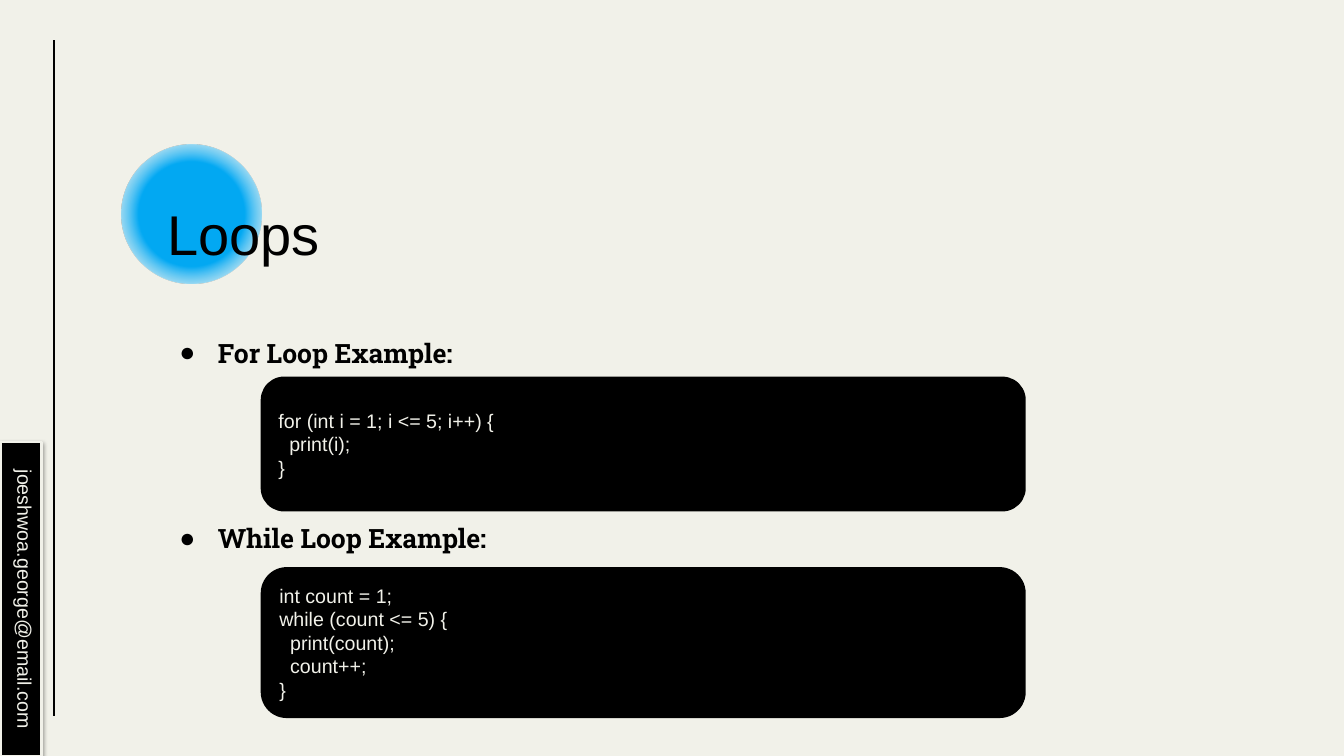
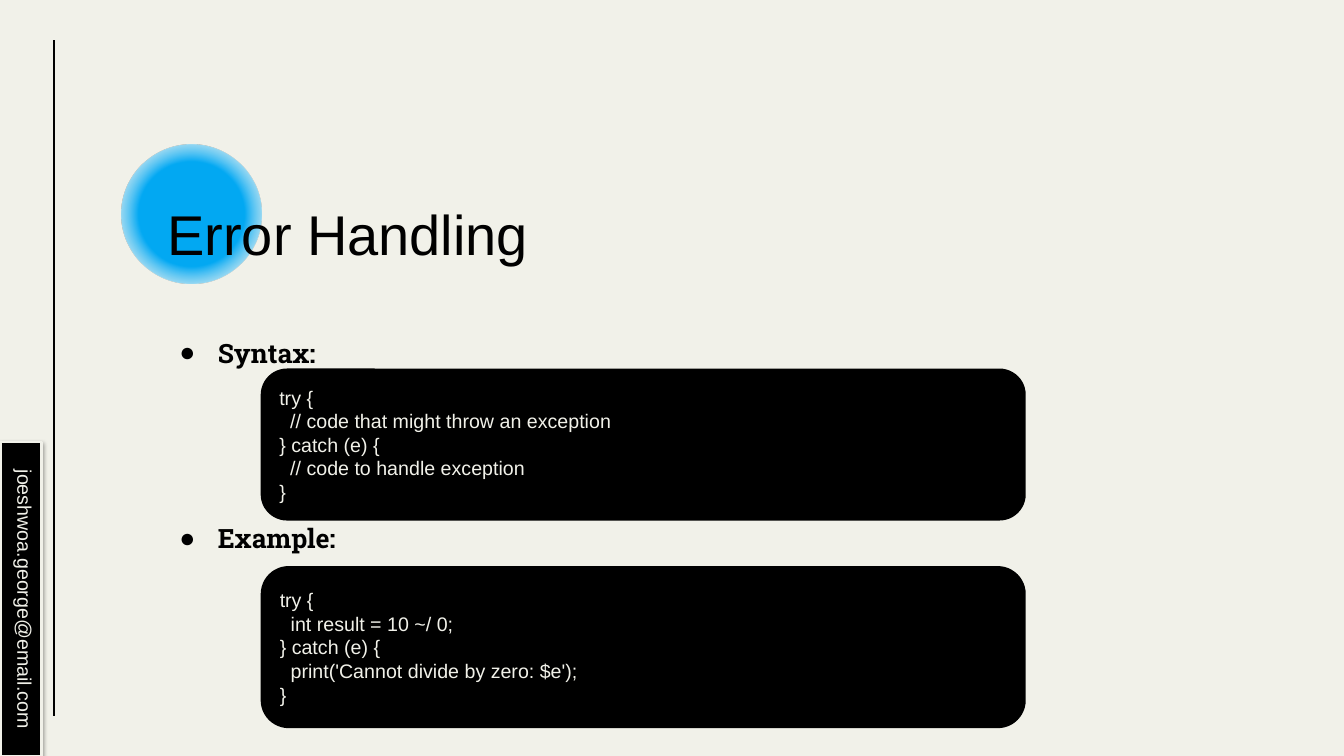
import pptx
import pptx.dml.color
import pptx.enum.shapes
import pptx.enum.text
import pptx.oxml
import pptx.oxml.ns
import pptx.util

Inches = pptx.util.Inches
Pt = pptx.util.Pt
RGBColor = pptx.dml.color.RGBColor
Shape = pptx.enum.shapes.MSO_SHAPE
Anchor = pptx.enum.text.MSO_ANCHOR
Align = pptx.enum.text.PP_ALIGN
qn = pptx.oxml.ns.qn

BLACK = RGBColor(0x00, 0x00, 0x00)
CREAM = RGBColor(0xF1, 0xF1, 0xE9)
SKY = RGBColor(0x03, 0xA9, 0xF4)
WHITE = RGBColor(0xFF, 0xFF, 0xFF)

SANS = "Arial"
SLAB = "Roboto Slab"
EMAIL = "joeshwoa.george@email.com"

LESSONS = [
    ("Loops", [
        ("For Loop Example:", 3.75, 1.31, [
            "for (int i = 1; i <= 5; i++) {",
            "  print(i);",
            "}",
        ]),
        ("While Loop Example:", 5.64, 1.47, [
            "int count = 1;",
            "while (count <= 5) {",
            "  print(count);",
            "  count++;",
            "}",
        ]),
    ]),
    ("Error Handling", [
        ("Syntax:", 3.67, 1.48, [
            "try {",
            "  // code that might throw an exception",
            "} catch (e) {",
            "  // code to handle exception",
            "}",
        ]),
        ("Example:", 5.63, 1.58, [
            "try {",
            "  int result = 10 ~/ 0;",
            "} catch (e) {",
            "  print('Cannot divide by zero: $e');",
            "}",
        ]),
    ]),
]


def drawing_xml(content):
    """Parse one DrawingML element whose opening tag has an {ns} slot."""
    return pptx.oxml.parse_xml(content.format(ns=pptx.oxml.ns.nsdecls("a")))


def add_bullet(paragraph, hanging=0.38, left=0.5):
    properties = paragraph._p.get_or_add_pPr()
    properties.set("marL", str(Inches(left)))
    properties.set("indent", str(Inches(-hanging)))
    properties.append(drawing_xml(
        f'<a:buClr {{ns}}><a:srgbClr val="{BLACK}"/></a:buClr>'))
    properties.append(drawing_xml('<a:buChar {ns} char="●"/>'))


def write_text(frame, lines, *, size, color, font=SANS, bold=False,
               align=Align.LEFT, anchor=Anchor.TOP, inset=None,
               bullets=False, line_spacing=None, gap=0):
    """Fill a text frame, one paragraph a line, with gap points between them."""
    frame.word_wrap = True
    frame.auto_size = pptx.enum.text.MSO_AUTO_SIZE.NONE
    frame.vertical_anchor = anchor
    if inset is not None:
        frame.margin_left = frame.margin_right = Inches(inset)
        frame.margin_top = frame.margin_bottom = Inches(inset)
    for index, line in enumerate(lines):
        paragraph = frame.add_paragraph() if index else frame.paragraphs[0]
        if bullets:
            add_bullet(paragraph)
        paragraph.alignment = align
        paragraph.space_before = Pt(gap if index else 0)
        if line_spacing:
            paragraph.line_spacing = line_spacing
        run = paragraph.add_run()
        run.text = line
        run.font.name = font
        run.font.size = Pt(size)
        run.font.bold = bold
        run.font.color.rgb = color


def place(shape, left, top, width, height):
    shape.left, shape.top = Inches(left), Inches(top)
    shape.width, shape.height = Inches(width), Inches(height)


class Deck:
    """Holds the shared style and the slide being built."""

    def __init__(self):
        self.presentation = pptx.Presentation()
        self.presentation.slide_width = Inches(13.33)
        self.presentation.slide_height = Inches(7.5)
        background = self.presentation.slide_master.background.fill
        background.solid()
        background.fore_color.rgb = CREAM
        self.slide = None

    def start_slide(self):
        layout = self.presentation.slide_layouts[1]
        self.slide = self.presentation.slides.add_slide(layout)
        self.glow()
        self.rail()

    def send_to_back(self, shape):
        self.slide.shapes.element.insert(2, shape._element)

    def rail(self):
        line = self.slide.shapes.add_connector(
            pptx.enum.shapes.MSO_CONNECTOR.STRAIGHT,
            Inches(0.54), Inches(0.4), Inches(0.54), Inches(7.1))
        line.line.color.rgb = BLACK
        line.line.width = Pt(1.5)
        line._element.spPr.append(drawing_xml("<a:effectLst {ns}/>"))
        self.send_to_back(line)

    def glow(self):
        """Draw the disc behind the title, fading out at its rim."""
        disc = self.slide.shapes.add_shape(
            Shape.OVAL, Inches(1.21), Inches(1.43), Inches(1.38), Inches(1.38))
        disc.shadow.inherit = False
        disc.line.fill.background()
        disc.fill.background()
        properties = disc._element.spPr
        properties.replace(properties.find(qn("a:noFill")), drawing_xml(
            '<a:gradFill {ns}><a:gsLst>'
            f'<a:gs pos="0"><a:srgbClr val="{SKY}"/></a:gs>'
            f'<a:gs pos="53000"><a:srgbClr val="{SKY}"/></a:gs>'
            f'<a:gs pos="100000"><a:srgbClr val="{WHITE}">'
            '<a:alpha val="2000"/></a:srgbClr></a:gs></a:gsLst>'
            '<a:path path="circle"><a:fillToRect l="50000" t="50000" '
            'r="50000" b="50000"/></a:path></a:gradFill>'))
        self.send_to_back(disc)

    def title(self, text):
        heading = self.slide.shapes.title
        place(heading, 1.53, 1.9, 9.06, 0.83)
        write_text(heading.text_frame, [text], size=40, color=BLACK,
                   anchor=Anchor.MIDDLE, inset=0.13)

    def topics(self, labels):
        body = self.slide.placeholders[1]
        place(body, 1.53, 3.05, 9.06, 3.57)
        write_text(body.text_frame, labels, size=19, color=BLACK, font=SLAB,
                   bold=True, inset=0.13, bullets=True, line_spacing=1.5,
                   gap=98.5)

    def panel(self, kind, left, top, width, height, outline):
        panel = self.slide.shapes.add_shape(
            kind, Inches(left), Inches(top), Inches(width), Inches(height))
        panel.shadow.inherit = False
        panel.fill.solid()
        panel.fill.fore_color.rgb = BLACK
        panel.line.color.rgb = outline
        panel.line.width = Pt(2)
        return panel

    def code(self, top, height, lines):
        panel = self.panel(Shape.ROUNDED_RECTANGLE, 2.6, top, 7.56, height,
                           BLACK)
        write_text(panel.text_frame, lines, size=14, color=CREAM,
                   anchor=Anchor.MIDDLE)

    def contact_tab(self):
        tab = self.panel(Shape.RECTANGLE, -1.35, 5.74, 3.12, 0.41, CREAM)
        tab.rotation = 90
        tab._element.spPr.find(qn("a:effectLst")).append(drawing_xml(
            f'<a:outerShdw {{ns}} blurRad="{Pt(3.1)}" dist="{Pt(1.6)}" '
            f'dir="5400000" rotWithShape="0"><a:srgbClr val="{BLACK}">'
            '<a:alpha val="38000"/></a:srgbClr></a:outerShdw>'))
        write_text(tab.text_frame, [EMAIL], size=14, color=CREAM,
                   align=Align.CENTER)


def main():
    deck = Deck()
    for title, examples in LESSONS:
        deck.start_slide()
        deck.title(title)
        deck.topics([label for label, *_ in examples])
        deck.contact_tab()
        for _, top, height, lines in examples:
            deck.code(top, height, lines)
    deck.presentation.save("out.pptx")


if __name__ == "__main__":
    main()
